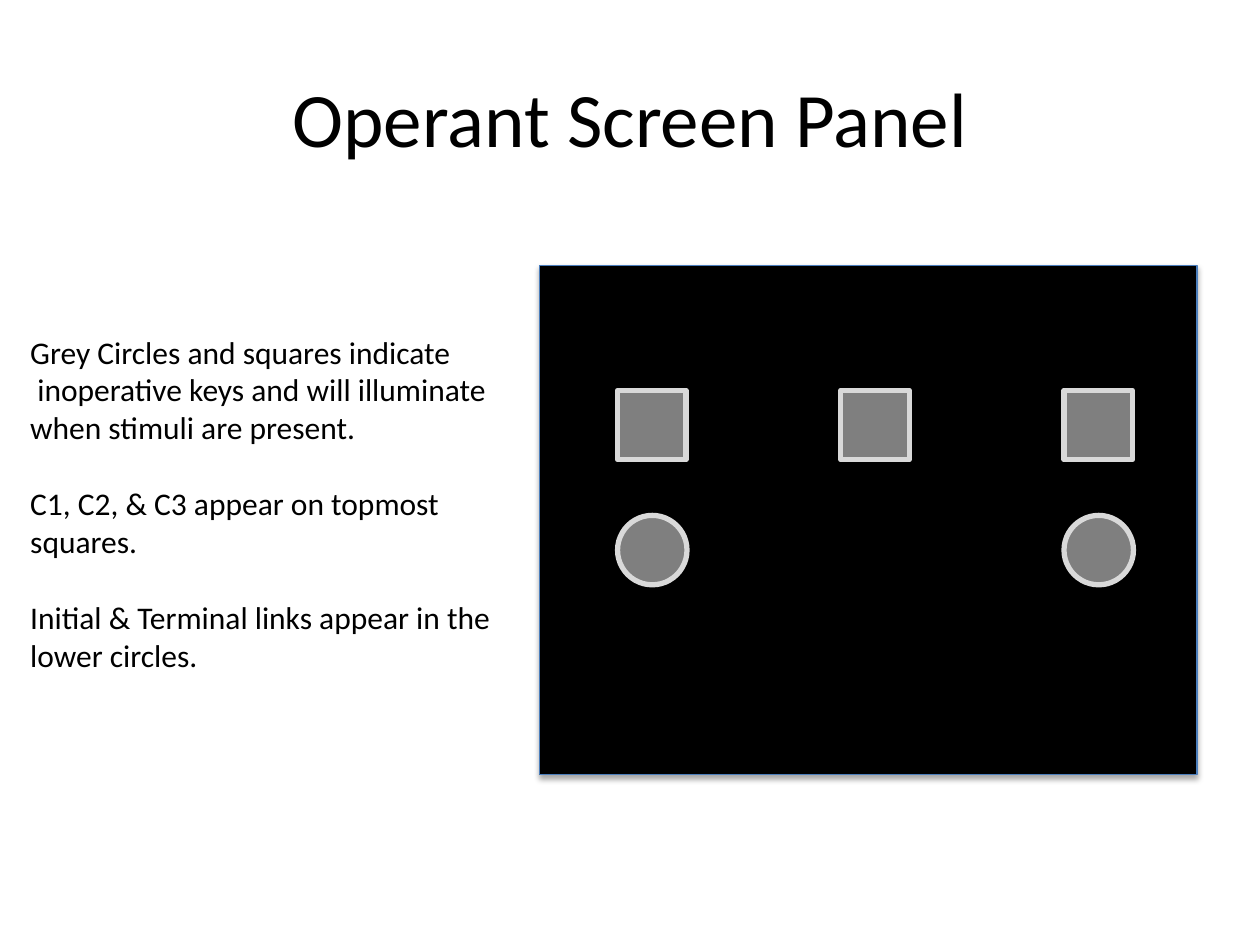
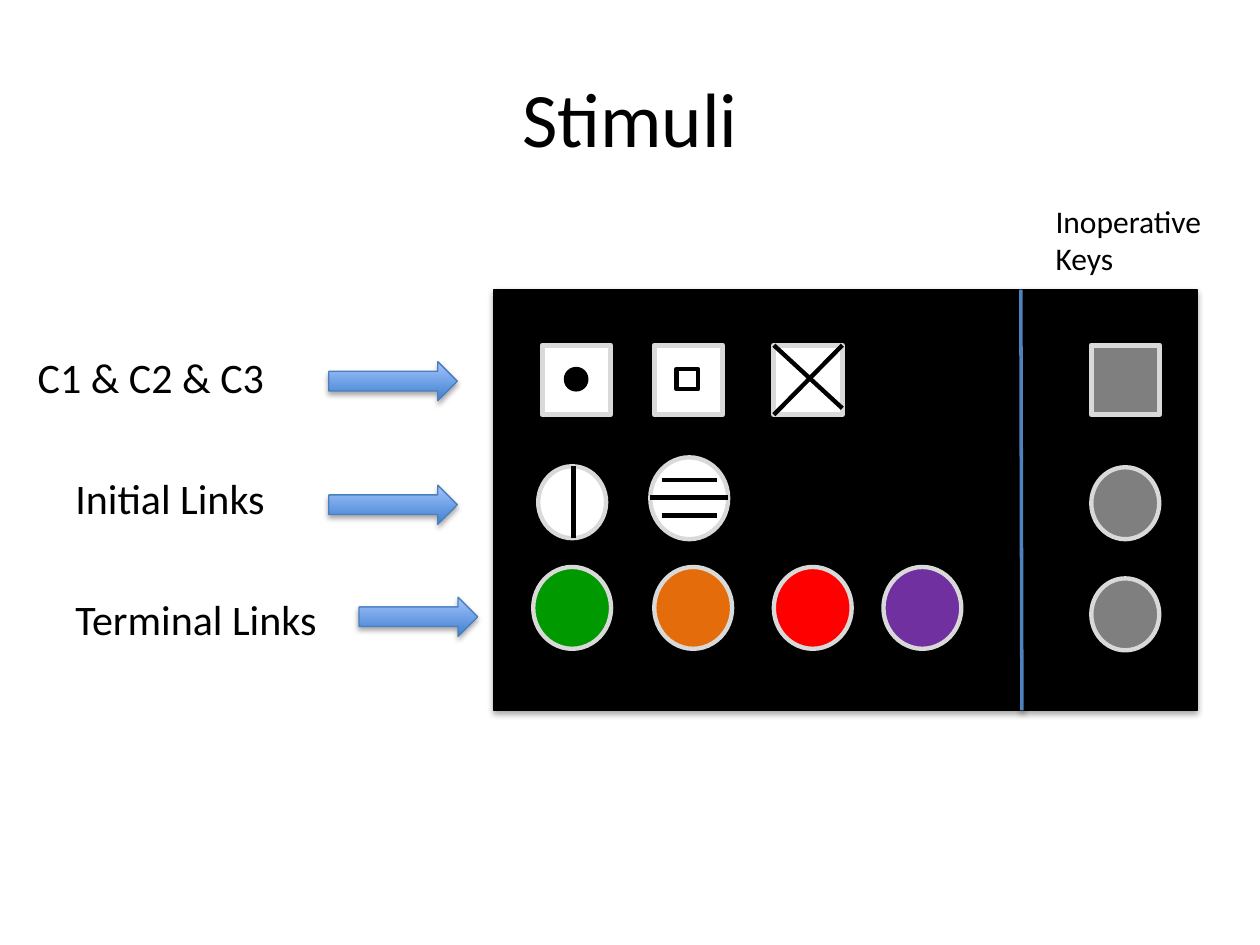
from lxml.etree import SubElement as Sub
from pptx import Presentation
from pptx.dml.color import RGBColor as Rgb
from pptx.enum.shapes import MSO_CONNECTOR as Link, MSO_SHAPE as Kind
from pptx.enum.text import MSO_ANCHOR as Anchor, PP_ALIGN as Align
from pptx.oxml.ns import qn
from pptx.util import Cm, Pt

BLACK = Rgb(0x00, 0x00, 0x00)
WHITE = Rgb(0xFF, 0xFF, 0xFF)
GREY = Rgb(0x7F, 0x7F, 0x7F)
RIM = Rgb(0xD9, 0xD9, 0xD9)
EDGE = Rgb(0x4B, 0x7E, 0xBC)
RULE = Rgb(0x4F, 0x81, 0xBD)
DEEP = Rgb(0x3F, 0x80, 0xCE)
PALE = Rgb(0xA4, 0xC4, 0xFF)
GREEN = Rgb(0x00, 0x99, 0x00)
ORANGE = Rgb(0xE4, 0x6C, 0x0A)
RED = Rgb(0xFF, 0x00, 0x00)
PURPLE = Rgb(0x70, 0x30, 0xA0)
FONT = "Calibri"

# Key sizes in cm: square, small circle, large circle
SQUARE = (1.38, 1.4)
SMALL = (1.37, 1.45)
LARGE = (1.57, 1.65)


def text(slide, box, paras, size=18, align=Align.LEFT, anchor=Anchor.TOP,
         wrap=True, gaps=()):
    """Write one paragraph per item; those numbered in gaps follow a blank line."""
    frame = slide.shapes.add_textbox(*map(Cm, box)).text_frame
    frame.word_wrap = wrap
    frame.vertical_anchor = anchor
    for i, words in enumerate(paras):
        para = frame.paragraphs[0] if i == 0 else frame.add_paragraph()
        para.alignment = align
        if i in gaps:
            para.space_before = Pt(size * 1.22)
        run = para.add_run()
        run.text = words
        run.font.size = Pt(size)
        run.font.name = FONT
        run.font.color.rgb = BLACK


def shade(props, alpha=35, dist=23000):
    """Give the shape properties a soft shadow below."""
    effect = props.find(qn("a:effectLst"))
    if effect is None:
        effect = Sub(props, qn("a:effectLst"))
    cast = Sub(effect, qn("a:outerShdw"), blurRad="40000", dist=str(dist),
               dir="5400000", rotWithShape="0")
    tint = Sub(cast, qn("a:srgbClr"), val="000000")
    Sub(tint, qn("a:alpha"), val=str(alpha * 1000))


def shape(slide, kind, box, fill, line, width, shadow=False):
    item = slide.shapes.add_shape(kind, *map(Cm, box))
    if fill is None:
        item.fill.gradient()
        item.fill.gradient_angle = 90
        for stop, tone in zip(item.fill.gradient_stops, (DEEP, PALE)):
            stop.color.rgb = tone
    else:
        item.fill.solid()
        item.fill.fore_color.rgb = fill
    item.line.color.rgb = line
    item.line.width = Pt(width)
    item.shadow.inherit = False
    if shadow:
        shade(item._element.spPr)


def stroke(slide, x1, y1, x2, y2, color=BLACK, width=2.5, shadow=False):
    item = slide.shapes.add_connector(Link.STRAIGHT, *map(Cm, (x1, y1, x2, y2)))
    item.line.color.rgb = color
    item.line.width = Pt(width)
    if shadow:
        shade(item._element.spPr, alpha=38, dist=20000)
    else:
        Sub(item._element.spPr, qn("a:effectLst"))


def square(slide, x, y, fill=GREY):
    shape(slide, Kind.RECTANGLE, (x, y, *SQUARE), fill, RIM, 3, True)


def disc(slide, x, y, size, fill=GREY, width=2.5, shadow=False):
    shape(slide, Kind.OVAL, (x, y, *size), fill, RIM, width, shadow)


def start(deck, title):
    """Add a blank slide with its title."""
    slide = deck.slides.add_slide(deck.slide_layouts[6])
    text(slide, (1.27, 0.76, 22.86, 3.18), [title], size=44,
         align=Align.CENTER, anchor=Anchor.MIDDLE)
    return slide


def screen(slide, x, y, w, h):
    """Screen with three square keys above two round ones."""
    shape(slide, Kind.RECTANGLE, (x, y, w, h), BLACK, EDGE, 0.75, True)
    for col in range(3):
        left = x + 1.58 + 4.5 * col
        square(slide, left, y + 2.51)
        if col != 1:
            disc(slide, left, y + 5.03, (1.4, 1.4), width=3, shadow=True)


def stimuli(slide, x, y, w, h):
    """Panel with a row for each kind of stimulus, and the unlit keys."""
    shape(slide, Kind.RECTANGLE, (x, y, w, h), BLACK, BLACK, 0.75, True)

    # Squares: dot, small box, cross
    for left in (0.97, 3.23, 5.64):
        square(slide, x + left, y + 1.12, WHITE)
    shape(slide, Kind.OVAL, (x + 1.45, y + 1.6, 0.41, 0.41), BLACK, BLACK, 2.5)
    shape(slide, Kind.RECTANGLE, (x + 3.68, y + 1.6, 0.43, 0.41),
          WHITE, BLACK, 2.5)
    stroke(slide, x + 7.02, y + 1.12, x + 5.64, y + 2.52)
    stroke(slide, x + 5.64, y + 1.12, x + 7.02, y + 2.39)

    # Initial links: upright line, three level lines
    disc(slide, x + 0.89, y + 3.56, SMALL, WHITE)
    stroke(slide, x + 1.6, y + 3.56, x + 1.6, y + 5.01)
    disc(slide, x + 3.15, y + 3.38, LARGE, WHITE)
    for inset, top in ((0.23, 3.84), (0, 4.19), (0.23, 4.55)):
        stroke(slide, x + 3.15 + inset, y + top, x + 4.72 - inset, y + top)

    # Terminal links
    tones = (GREEN, ORANGE, RED, PURPLE)
    for left, tone in zip((0.79, 3.23, 5.64, 7.85), tones):
        disc(slide, x + left, y + 5.59, LARGE, tone)

    # Inoperative keys
    stroke(slide, x + 10.62, y, x + 10.64, y + h, RULE, 2, True)
    square(slide, x + 12.04, y + 1.12)
    for top in (3.58, 5.82):
        disc(slide, x + 12.04, y + top, SMALL)
    text(slide, (x + 11.07, y - 1.9, 3.51, 1.8), ["Inoperative", "Keys"],
         wrap=False)


def labels(slide, x, y):
    """Row names, each with an arrow to the panel."""
    rows = (("C1 & C2 & C3", 0, 6.27, 6.12, 0.33, 2.59),
            ("Initial Links", 0.76, 5.03, 6.12, 2.82, 2.59),
            ("Terminal Links", 0.76, 5.49, 6.73, 5.08, 2.39))
    for i, (name, left, wide, tail, top, reach) in enumerate(rows):
        text(slide, (x + left, y + 2.44 * i, wide, 1.27), [name], size=24)
        shape(slide, Kind.RIGHT_ARROW, (x + tail, y + top, reach, 0.79),
              None, EDGE, 0.75, True)


deck = Presentation()
deck.slide_width, deck.slide_height = Cm(25.4), Cm(19.05)

# Slide 1: the panel at rest
slide = start(deck, "Operant Screen Panel")
screen(slide, 10.87, 5.36, 13.26, 10.26)
text(slide, (0.36, 6.58, 9.93, 7.19), [
    "Grey Circles and squares indicate",
    " inoperative keys and will illuminate",
    "when stimuli are present.",
    "C1, C2, & C3 appear on topmost",
    "squares.",
    "Initial & Terminal links appear in the",
    "lower circles.",
], wrap=False, gaps=(3, 5))

# Slide 2: the stimuli
slide = start(deck, "Stimuli")
stimuli(slide, 9.96, 5.84, 14.17, 8.48)
labels(slide, 0.51, 6.96)

deck.save("out.pptx")
